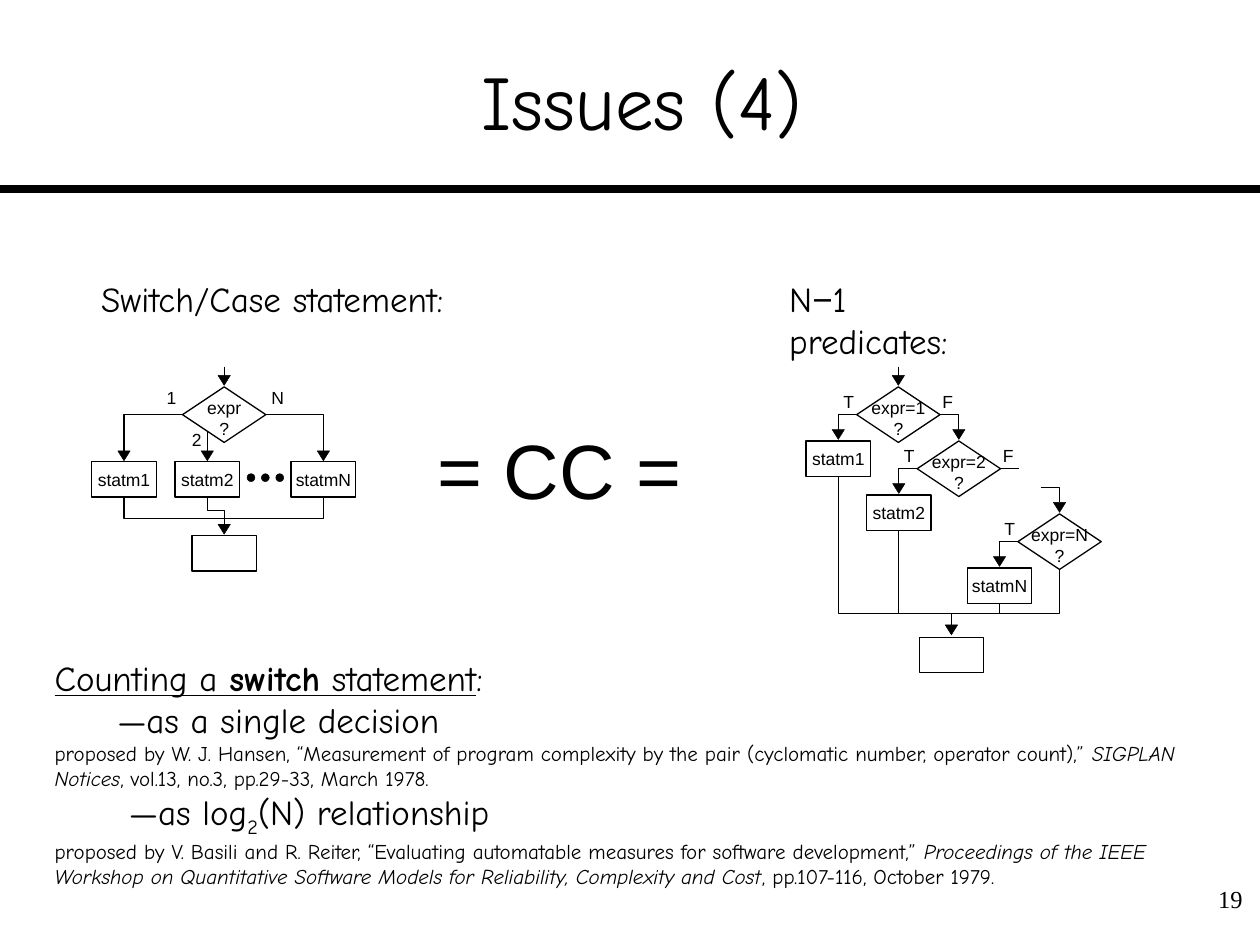
from lxml import etree
from pptx import Presentation
from pptx.dml.color import RGBColor
from pptx.enum import shapes, text
from pptx.oxml import ns
from pptx import util as u

COLOURS = {"ink": "000000", "paper": "FFFFFF"}
HAND, SANS, SERIF = "Comic Neue", "Arial", "Times New Roman"
KIND = shapes.MSO_SHAPE
LEFT, CENTER, RIGHT = text.PP_ALIGN.LEFT, text.PP_ALIGN.CENTER, text.PP_ALIGN.RIGHT
DECISION_W, DECISION_H = 1.68, 1.12
PROCESS_W, PROCESS_H = 1.3, 0.71
TIP_W, TIP_H = 0.25, 0.2


def colour(name):
    return RGBColor.from_string(COLOURS[name])


class Sketch:
    def __init__(self, page, thin=0.75):
        self.page = page
        self.thin = thin

    def set_text(self, frame, paragraphs, size, face, align=LEFT):
        for index, spans in enumerate(paragraphs):
            para = frame.paragraphs[0] if index == 0 else frame.add_paragraph()
            para.alignment = align
            para.font.size = u.Pt(size)
            para.font.name = face
            para.font.color.rgb = colour("ink")
            for words, look in spans:
                if words == "\n":
                    para.add_line_break()
                    continue
                span = para.add_run()
                span.text = words
                span.font.size = look.get("size")
                span.font.name = look.get("name")
                span.font.bold = look.get("bold")
                span.font.italic = look.get("italic")
                span.font.underline = look.get("underline")
                if "baseline" in look:
                    span.font._element.set("baseline", look["baseline"])

    def label(self, x, y, width, height, paragraphs, size, face,
              align=LEFT, wrap=False, tight=True):
        box = self.page.shapes.add_textbox(u.Cm(x), u.Cm(y), u.Cm(width), u.Cm(height))
        frame = box.text_frame
        frame.word_wrap = wrap
        if tight:
            frame.margin_left = frame.margin_right = u.Cm(0.03)
            frame.margin_top = frame.margin_bottom = 0
            frame.auto_size = text.MSO_AUTO_SIZE.SHAPE_TO_FIT_TEXT
        if isinstance(paragraphs, str):
            paragraphs = [[(paragraphs, {})]]
        self.set_text(frame, paragraphs, size, face, align)
        return frame

    def mark(self, x, y, words):
        self.label(x, y, 0.28, 0.43, words, 10, SANS)

    def shape(self, kind, x, y, width, height, fill="paper", weight=None, owner=None):
        shape = (owner or self.page).shapes.add_shape(
            kind, u.Cm(x), u.Cm(y), u.Cm(width), u.Cm(height))
        shape.shadow.inherit = False
        shape.fill.solid()
        shape.fill.fore_color.rgb = colour(fill)
        shape.line.color.rgb = colour("ink")
        shape.line.width = u.Pt(weight or self.thin)
        return shape

    def node(self, kind, center, top, width, height, lines):
        node = self.shape(kind, center - width / 2, top, width, height)
        frame = node.text_frame
        frame.word_wrap = False
        frame.vertical_anchor = text.MSO_ANCHOR.MIDDLE
        self.set_text(frame, [[(line, {})] for line in lines], 10, SANS, CENTER)
        return node

    def decision(self, center, top, words):
        node = self.node(KIND.FLOWCHART_DECISION, center, top,
                         DECISION_W, DECISION_H, [words, "?"])
        node.text_frame.margin_top = u.Cm(0.15)
        node.text_frame.margin_bottom = 0
        return node

    def process(self, center, top, *lines):
        return self.node(KIND.FLOWCHART_PROCESS, center, top, PROCESS_W, PROCESS_H, lines)

    def tip(self, center, top):
        tip = self.shape(KIND.ISOSCELES_TRIANGLE, center - TIP_W / 2, top,
                         TIP_W, TIP_H, "ink", 0.25)
        tip._element.spPr.find(ns.qn("a:xfrm")).set("flipV", "1")

    def dots(self, x, y, size, step, count):
        group = self.page.shapes.add_group_shape()
        for index in range(count):
            self.shape(KIND.OVAL, x + index * step, y, size, size, "ink", 0.25, group)

    def line(self, x1, y1, x2, y2, weight=None, kind=shapes.MSO_CONNECTOR.STRAIGHT):
        line = self.page.shapes.add_connector(
            kind, u.Cm(x1), u.Cm(y1), u.Cm(x2), u.Cm(y2))
        line.line.color.rgb = colour("ink")
        line.line.width = u.Pt(weight or self.thin)
        etree.SubElement(line._element.spPr, ns.qn("a:effectLst"))
        return line

    def elbow(self, x1, y1, x2, y2):
        line = self.line(x1, y1, x2, y2, kind=shapes.MSO_CONNECTOR.ELBOW)
        line._element.spPr.find(ns.qn("a:prstGeom")).set("prst", "bentConnector2")

    def bus(self, x1, y1, x2, y2, rail):
        line = self.line(x1, y1, x2, y2, kind=shapes.MSO_CONNECTOR.ELBOW)
        across, down = x2 - x1, y2 - y1
        line.left, line.top = u.Cm((x1 + x2 - down) / 2), u.Cm((y1 + y2 - across) / 2)
        line.width, line.height = u.Cm(down), u.Cm(across)
        frame = line._element.spPr.find(ns.qn("a:xfrm"))
        frame.set("rot", "16200000")
        frame.set("flipH", "1")
        guides = line._element.spPr.find(ns.qn("a:prstGeom")).find(ns.qn("a:avLst"))
        share = round((rail - y1) / down * 100000)
        etree.SubElement(guides, ns.qn("a:gd"), name="adj1", fmla=f"val {share}")


def draw_switch(sketch):
    center, top, row = 4.52, 7.8, 9.31
    middle, foot = top + DECISION_H / 2, row + PROCESS_H
    first, second, last = 2.5, 4.18, 6.52
    sketch.line(center, top - 0.41, center, top - 0.21)
    sketch.line(second, 8.69, second, row - 0.22)
    sketch.bus(first, foot, last, foot + 0.01, 10.46)
    sketch.bus(second, foot, center, 10.57, 10.29)
    for side, column in ((-1, first), (1, last)):
        sketch.elbow(center + side * DECISION_W / 2, middle, column, row - 0.22)
    for x, y, words in ((3.84, 8.64, "2"), (3.33, top, "1"), (5.44, top, "N")):
        sketch.mark(x, y, words)
    sketch.decision(center, top, "expr")
    for column, words in ((first, "statm1"), (second, "statm2"), (last, "statmN")):
        sketch.process(column, row, words)
        sketch.tip(column, row - 0.22)
    sketch.dots(4.98, 9.55, 0.16, 0.29, 3)
    sketch.tip(center, top - 0.23)
    sketch.process(center, 10.8)
    sketch.tip(center, 10.57)


def draw_predicates(sketch):
    stages = [(18.11, 7.8, "1"), (19.33, 8.89, "2"), (21.36, 10.36, "N")]
    shift, drop, rail, exit_x = 1.21, 1.09, 12.37, 19.18
    (x1, y1, _), (x2, y2, _), (x3, y3, _) = stages
    foot = drop + PROCESS_H
    sketch.bus(x1 - shift, y1 + foot, x3, y3 + DECISION_H, rail)
    sketch.bus(x2 - shift, y2 + foot, x3 - shift, y3 + foot, rail)
    sketch.line(exit_x, rail, exit_x, 12.67)
    sketch.line(x1, y1 - 0.41, x1, y1 - 0.21)
    for center, top, name in stages:
        branch = center - shift
        if name != "1":
            sketch.elbow(center - 0.38, top - 0.53, center, top - 0.23)
        sketch.elbow(center - DECISION_W / 2, top + DECISION_H / 2, branch, top + 0.86)
        sketch.mark(center - 1.14, top + 0.08, "T")
        node = sketch.decision(center, top, f"expr={name}")
        sketch.process(branch, top + drop, f"statm{name}")
        sketch.tip(center, top - 0.23)
        sketch.tip(branch, top + 0.86)
        if name != "N":
            sketch.mark(center + 0.86, top + 0.08, "F")
        if name == "2":
            level = top + DECISION_H / 2
            stub = sketch.line(center + DECISION_W / 2, level, 20.55, level)
            stub.begin_connect(node, 3)
    sketch.process(exit_x, 12.85)
    sketch.tip(exit_x, 12.6)


def main():
    deck = Presentation()
    deck.slide_width, deck.slide_height = u.Cm(25.4), u.Cm(19.05)
    sketch = Sketch(deck.slides.add_slide(deck.slide_layouts[6]))
    sketch.line(0, 3.81, 25.4, 3.81, 4.5)
    sketch.label(24, 17.7, 1.3, 1.27, "19", 14, SERIF, RIGHT, True, False)
    title = sketch.label(0.89, 0.43, 24.1, 3.18, "Issues (4)", 44, HAND, CENTER, True, False)
    title.vertical_anchor = text.MSO_ANCHOR.MIDDLE
    sketch.label(8.79, 8.51, 5.41, 1.85, "= CC =", 44, SANS)
    sketch.label(2.01, 5.59, 7.01, 0.84, "Switch/Case statement:", 20, HAND)
    sketch.label(15.88, 5.59, 4.5, 0.84, [[
        ("N", {}), ("−", {"name": SANS}), ("1 predicates:", {})]], 20, HAND, wrap=True)
    small = {"size": u.Pt(12)}
    slanted = {**small, "italic": True}
    lined = {"underline": True}
    sketch.label(1.07, 13.23, 23.42, 4.7, [
        [("Counting a ", lined), ("switch", {**lined, "bold": True}),
         (" statement", lined), (":", {})],
        [("\t—as a single decision", {}), ("\n", {}),
         ("proposed by W. J. Hansen, “Measurement of program complexity by the pair "
          "(cyclomatic number, operator count),” ", small),
         ("SIGPLAN Notices", slanted), (", vol.13, no.3, pp.29-33, March 1978.", small)],
        [("\t —as log", {}), ("2", {"baseline": "-25000"}), ("(N) relationship", {})],
        [("proposed by V. Basili and R. Reiter, “Evaluating automatable measures for "
          "software development,” ", small),
         ("Proceedings of the IEEE Workshop on Quantitative Software Models for "
          "Reliability, Complexity and Cost", slanted),
         (", pp.107-116, October 1979.", small)],
    ], 20, HAND, wrap=True)
    draw_switch(sketch)
    draw_predicates(sketch)
    deck.save("out.pptx")


if __name__ == "__main__":
    main()
